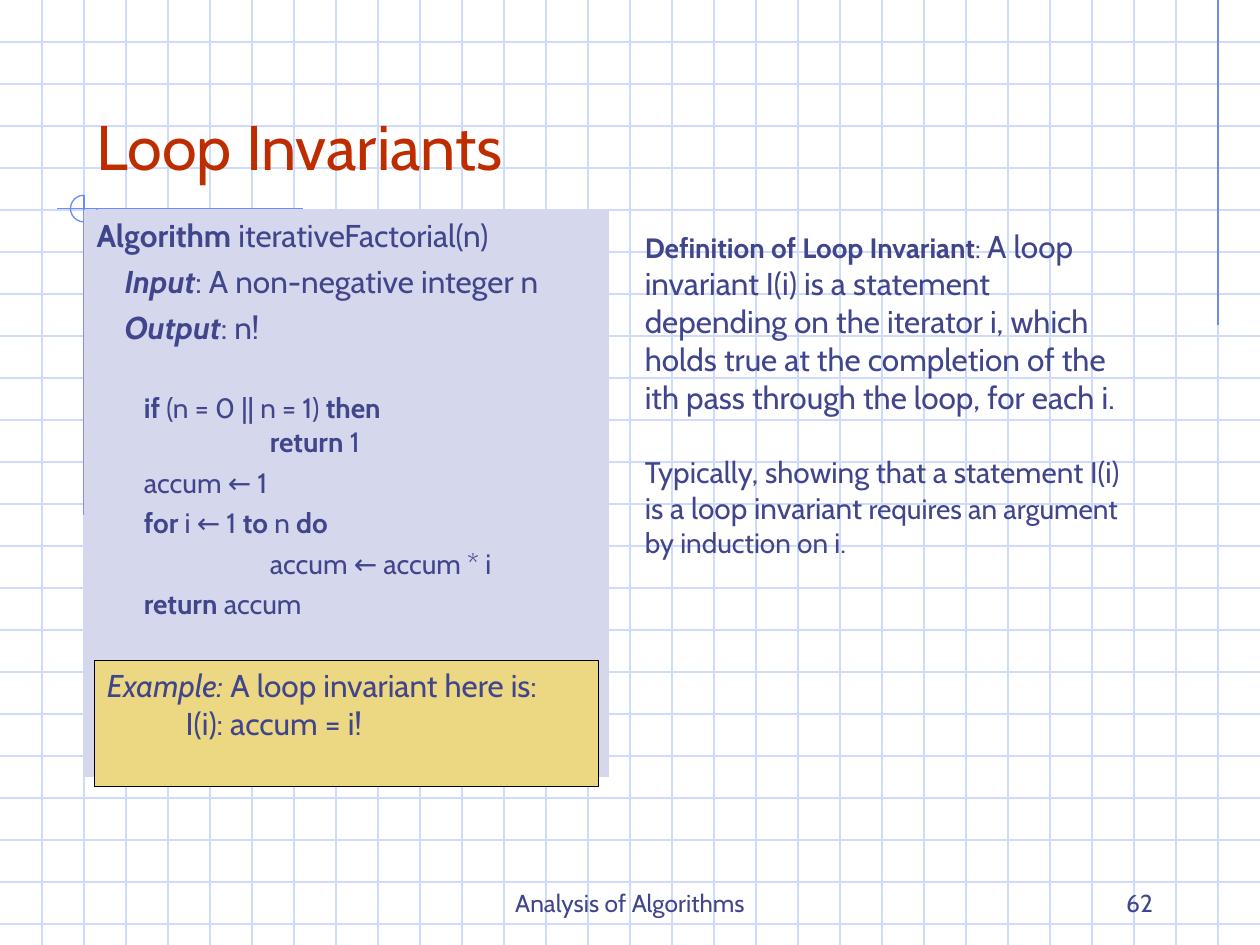
from typing import NamedTuple

from lxml import etree
from pptx import Presentation
from pptx.dml.color import RGBColor
from pptx.enum.shapes import MSO_CONNECTOR, MSO_SHAPE
from pptx.enum.text import MSO_ANCHOR, MSO_AUTO_SIZE, PP_ALIGN
from pptx.oxml.ns import qn
from pptx.util import Pt

STRAIGHT = MSO_CONNECTOR.STRAIGHT
LEFT, CENTER, RIGHT = PP_ALIGN.LEFT, PP_ALIGN.CENTER, PP_ALIGN.RIGHT
TOP, BOTTOM = MSO_ANCHOR.TOP, MSO_ANCHOR.BOTTOM

WIDTH, HEIGHT, GRID_STEP = 720, 540, 24
FONT = "Cabin"
INK, TITLE_RED = "40458C", "BE2D00"
GRID_BLUE, ACCENT_BLUE = "CFDBFD", "6F89F7"
PANEL, EXAMPLE_FILL, BLACK = "D5D7EC", "ECD882", "000000"
STEP_INDENT, NESTED_INDENT = 27, 99


class Box(NamedTuple):
    left: float
    top: float
    width: float
    height: float


class Span(NamedTuple):
    text: str
    size: float = 16
    bold: bool = False
    italic: bool = False


class Line(NamedTuple):
    spans: list[Span]
    indent: float = 0
    before: float = 0
    align: PP_ALIGN = LEFT


def rgb(value: str) -> RGBColor:
    return RGBColor.from_string(value)


def place(shape, box: Box) -> None:
    shape.left, shape.top, shape.width, shape.height = map(Pt, box)


def draw_line(shapes, x1: float, y1: float, x2: float, y2: float, color: str) -> None:
    line = shapes.add_connector(STRAIGHT, Pt(x1), Pt(y1), Pt(x2), Pt(y2))
    line.line.color.rgb = rgb(color)
    line.line.width = Pt(0.75)
    etree.SubElement(line._element.spPr, qn("a:effectLst"))


def write(shape, lines: list[Line], anchor=TOP, color: str = INK) -> None:
    frame = shape.text_frame
    frame.word_wrap = True
    frame.auto_size = MSO_AUTO_SIZE.NONE
    frame.vertical_anchor = anchor
    for index, line in enumerate(lines):
        paragraph = frame.add_paragraph() if index else frame.paragraphs[0]
        properties = paragraph._p.get_or_add_pPr()
        properties.set("marL", str(Pt(line.indent)))
        properties.set("indent", "0")
        etree.SubElement(properties, qn("a:buNone"))
        paragraph.alignment = line.align
        paragraph.space_before = Pt(line.before)
        for span in line.spans:
            run = paragraph.add_run()
            run.text = span.text
            run.font.name = FONT
            run.font.size = Pt(span.size)
            run.font.bold = span.bold
            run.font.italic = span.italic
            run.font.color.rgb = rgb(color)


def add_text(slide, box: Box, lines: list[Line], anchor=TOP) -> None:
    write(slide.shapes.add_textbox(*map(Pt, box)), lines, anchor)


def draw_background(slide) -> None:
    grid = slide.shapes.add_group_shape().shapes
    for y in range(GRID_STEP, HEIGHT, GRID_STEP):
        draw_line(grid, 0, y, WIDTH, y, GRID_BLUE)
    for x in range(GRID_STEP, WIDTH, GRID_STEP):
        draw_line(grid, x, 0, x, HEIGHT, GRID_BLUE)
    draw_line(grid, 696, 0, 696, 186, ACCENT_BLUE)
    draw_line(grid, 173, 119.3, 32.6, 119.3, ACCENT_BLUE)
    draw_line(grid, 48, 111.6, 48, 294.5, ACCENT_BLUE)

    ring = grid.add_shape(MSO_SHAPE.ARC, *map(Pt, Box(40.3, 111.6, 15.2, 15.2)))
    ring.adjustments[0] = 0
    ring.adjustments[1] = 162  # 270 degrees, in units of 100000/60000 degree
    ring.fill.background()
    ring.line.color.rgb = rgb(ACCENT_BLUE)
    ring.line.width = Pt(0.75)
    ring.shadow.inherit = False


ALGORITHM = [
    Line([Span("Algorithm", 18, bold=True), Span(" iterativeFactorial(n)", 18)]),
    Line([Span("Input", 18, bold=True, italic=True),
          Span(": A non-negative integer n", 18)], 16, 4.5),
    Line([Span("Output", 18, bold=True, italic=True), Span(": n!", 18)], 16, 4.5),
    Line([Span("if ", bold=True), Span("(n = 0 || n = 1) "),
          Span("then", bold=True)], STEP_INDENT, 26),
    Line([Span("return", bold=True), Span(" 1")], NESTED_INDENT),
    Line([Span("accum ← 1")], STEP_INDENT, 4),
    Line([Span("for", bold=True), Span(" i ← 1 "), Span("to", bold=True),
          Span(" n "), Span("do", bold=True)], STEP_INDENT, 4),
    Line([Span("accum ← accum * i")], NESTED_INDENT, 4),
    Line([Span("return", bold=True), Span(" accum")], STEP_INDENT, 4),
]
DEFINITION = [
    Line([Span("Definition of Loop Invariant", bold=True), Span(": "),
          Span("A loop invariant I(i) is a statement depending on the iterator i, "
               "which holds true at the completion of the ith pass through the "
               "loop, for each i.", 18)]),
    Line([Span("Typically, showing that a statement I(i) is a loop invariant", 17),
          Span(" requires an argument by induction on i.")], before=22),
]
EXAMPLE = [
    Line([Span("Example:", 18, italic=True), Span(" A loop invariant here is:", 18)]),
    Line([Span("I(i): accum = i!", 18)], 45),
]


def main() -> None:
    deck = Presentation()
    deck.slide_width, deck.slide_height = Pt(WIDTH), Pt(HEIGHT)
    slide = deck.slides.add_slide(deck.slide_layouts[1])
    title, algorithm = slide.placeholders

    draw_background(slide)
    for placeholder in (title, algorithm):  # bring in front of the grid
        slide.shapes._spTree.append(placeholder._element)

    place(title, Box(48, 54, 612, 54))
    write(title, [Line([Span("Loop Invariants", 36)])], BOTTOM, TITLE_RED)

    place(algorithm, Box(48, 120, 300, 324))
    algorithm.fill.solid()
    algorithm.fill.fore_color.rgb = rgb(PANEL)
    write(algorithm, ALGORITHM)

    add_text(slide, Box(361.4, 126, 288, 237.6), DEFINITION)

    example = slide.shapes.add_shape(MSO_SHAPE.RECTANGLE, *map(Pt, Box(54, 377.3, 288, 72)))
    example.shadow.inherit = False
    example.fill.solid()
    example.fill.fore_color.rgb = rgb(EXAMPLE_FILL)
    example.line.color.rgb = rgb(BLACK)
    example.line.width = Pt(0.75)
    write(example, EXAMPLE)

    add_text(slide, Box(246, 492, 228, 36),
             [Line([Span("Analysis of Algorithms", 14)], align=CENTER)], BOTTOM)
    add_text(slide, Box(516, 492, 150, 36),
             [Line([Span("62", 14)], align=RIGHT)], BOTTOM)

    deck.save("out.pptx")


if __name__ == "__main__":
    main()
